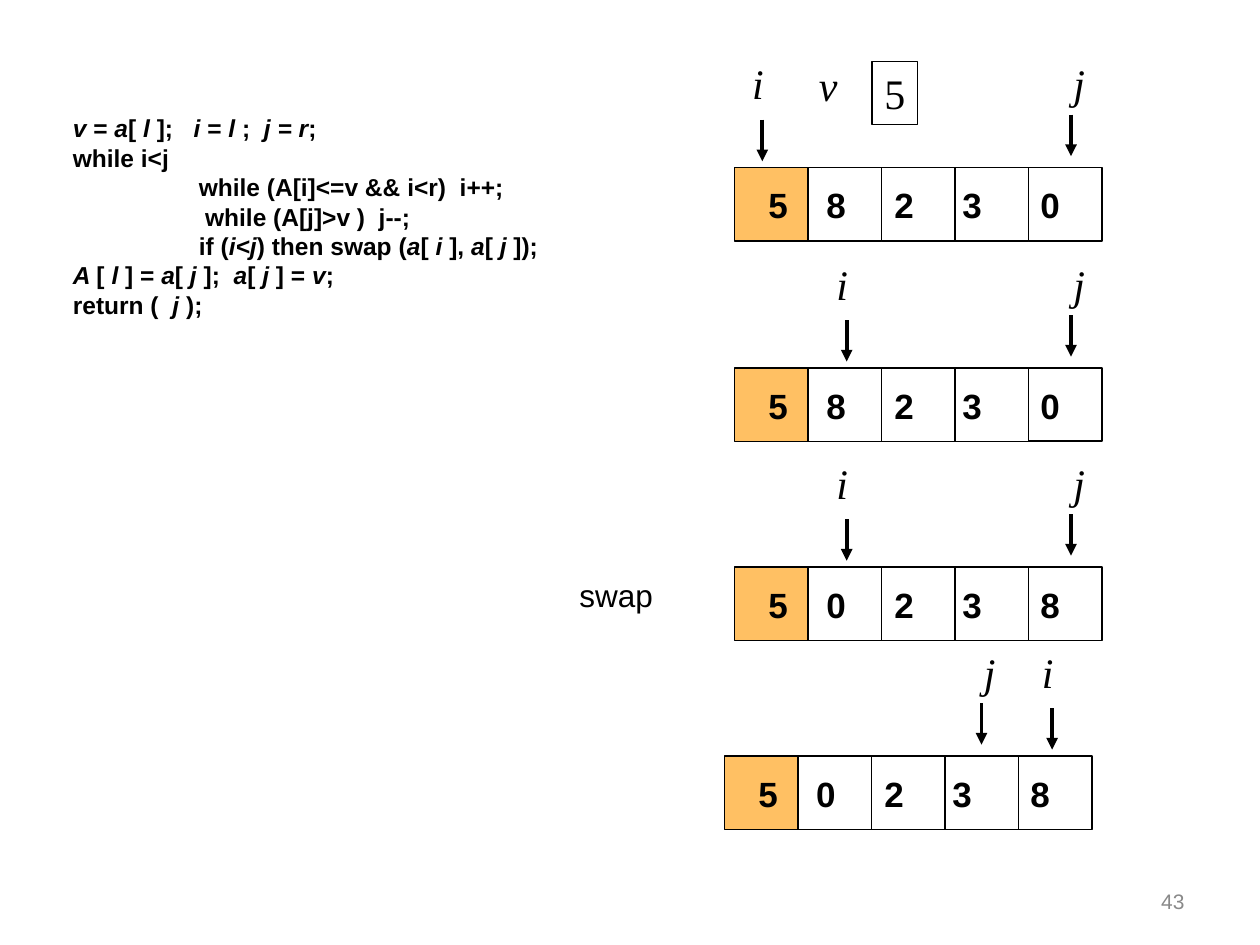
from lxml.etree import SubElement
from pptx import Presentation
from pptx.dml.color import RGBColor
from pptx.enum.shapes import MSO_CONNECTOR, MSO_SHAPE
from pptx.enum.text import MSO_ANCHOR, PP_ALIGN
from pptx.oxml.ns import qn
from pptx.util import Inches, Pt

COLORS = {"ink": "000000", "pivot": "FFC063", "muted": "898989"}
CELL = 7 / 12
DIGIT_STOPS = [0.46, 1.0, 1.54, 2.16]
POINTERS = {"i": (0.18, 0.54), "j": (0.08, 0.5)}
CODE = [
    (0, "*v *= *a*[ *l *];   *i* = *l *;  *j = r*;"),
    (0, "while i<j"),
    (1, "while (A[i]<=v && i<r)  i++;"),
    (1.05, "while (A[j]>v )  j--;"),
    (1, "if (*i<j*) then swap (*a*[ *i *], *a*[ *j *]);"),
    (0, "*A *[ *l *] = *a*[ *j *];  *a*[ *j *] = *v*;"),
    (0, "return (  *j *);"),
]
STEPS = [
    (5.83, 1.33, "58230", {"i": 5.87, "j": 8.42}),
    (5.83, 2.92, "58230", {"i": 6.54, "j": 8.42}),
    (5.83, 4.5, "50238", {"i": 6.54, "j": 8.42}),
    (5.75, 6, "50238", {"i": 8.17, "j": 7.71}),
]


def color(name):
    """Return the named palette colour."""
    return RGBColor.from_string(COLORS[name])


def style(span, size, font="Arial", ink="ink", bold=False, italic=False):
    """Format one run."""
    span.font.size = Pt(size)
    span.font.name = font
    span.font.color.rgb = color(ink)
    span.font.bold = bold
    span.font.italic = italic


def add_text(page, box, text, size, wrap=True, **look):
    """Place one line of text in a box and return its shape."""
    shape = page.shapes.add_textbox(*map(Inches, box))
    shape.text_frame.word_wrap = wrap
    shape.text_frame.text = text
    for span in shape.text_frame.paragraphs[0].runs:
        style(span, size, **look)
    return shape


def add_symbol(page, left, top, letter, width=0.29):
    """Place an italic variable name."""
    add_text(page, (left, top, width, 0.5), letter, 24, wrap=False,
             font="Times New Roman", italic=True)


def add_square(page, box, line_width=0.75, fill=None):
    """Draw an outlined rectangle, filled if a colour is named."""
    square = page.shapes.add_shape(MSO_SHAPE.RECTANGLE, *map(Inches, box))
    square.shadow.inherit = False
    square.line.color.rgb = color("ink")
    square.line.width = Pt(line_width)
    if fill:
        square.fill.solid()
        square.fill.fore_color.rgb = color(fill)
    else:
        square.fill.background()
    return square


def add_arrow(page, x, top, length=0.33):
    """Draw a downward arrow."""
    arrow = page.shapes.add_connector(
        MSO_CONNECTOR.STRAIGHT, Inches(x), Inches(top), Inches(x), Inches(top + length))
    arrow.line.color.rgb = color("ink")
    arrow.line.width = Pt(2.25)
    SubElement(arrow.line._get_or_add_ln(), qn("a:tailEnd"), type="triangle")
    SubElement(arrow._element.spPr, qn("a:effectLst"))


def add_step(page, left, top, digits, pointers):
    """Draw one state of the array with its index pointers."""
    last = len(digits) - 1
    for index in range(len(digits)):
        add_square(page, (left + index * CELL, top, CELL, CELL),
                   line_width=1 if index == last else 0.75,
                   fill="pivot" if index == 0 else None)
    row = add_text(page, (left + 0.17, top + 0.08, 2.67, 0.77),
                   "\t".join(digits), 20, bold=True)
    properties = row.text_frame.paragraphs[0]._p.get_or_add_pPr()
    stops = SubElement(properties, qn("a:tabLst"))
    for stop in DIGIT_STOPS:
        SubElement(stops, qn("a:tab"), pos=str(Inches(stop)), algn="l")
    label_top = top - 0.92
    for letter, x in pointers.items():
        across, down = POINTERS[letter]
        add_symbol(page, x, label_top, letter)
        add_arrow(page, x + across, label_top + down)


def add_code(page, box):
    """Write the partition code, with starred parts in italics."""
    frame = page.shapes.add_textbox(*map(Inches, box)).text_frame
    frame.word_wrap = False
    for number, (indent, text) in enumerate(CODE):
        para = frame.add_paragraph() if number else frame.paragraphs[0]
        para._p.get_or_add_pPr().set("marL", str(Inches(indent)))
        for position, part in enumerate(text.split("*")):
            if part:
                span = para.add_run()
                span.text = part
                style(span, 14, bold=True, italic=position % 2 == 1)


def add_pivot(page, left, top):
    """Show the pivot variable and its boxed value."""
    add_symbol(page, left, top, "v", width=0.35)
    value = add_square(page, (left + 0.52, top + 0.07, 0.36, 0.5))
    value.text_frame.word_wrap = False
    value.text_frame.vertical_anchor = MSO_ANCHOR.TOP
    value.text_frame.text = "5"
    para = value.text_frame.paragraphs[0]
    para.alignment = PP_ALIGN.LEFT
    style(para.runs[0], 24, font="Times New Roman")


def add_page_number(page, box):
    """Write the page number at the lower right."""
    frame = add_text(page, box, "43", 12, ink="muted").text_frame
    frame.vertical_anchor = MSO_ANCHOR.MIDDLE
    frame.paragraphs[0].alignment = PP_ALIGN.RIGHT


def main():
    """Build the slide and save it."""
    deck = Presentation()
    deck.slide_width, deck.slide_height = Inches(10), Inches(7.5)
    page = deck.slides.add_slide(deck.slide_layouts[6])
    add_page_number(page, (7.17, 6.95, 2.33, 0.4))
    add_code(page, (0.48, 0.85, 3.94, 1.74))
    add_pivot(page, 6.4, 0.42)
    for step in STEPS:
        add_step(page, *step)
    swap = add_text(page, (4.5, 4.52, 1.17, 0.4), "swap", 18)
    swap.text_frame.paragraphs[0].space_before = Pt(11.2)
    deck.save("out.pptx")


if __name__ == "__main__":
    main()
